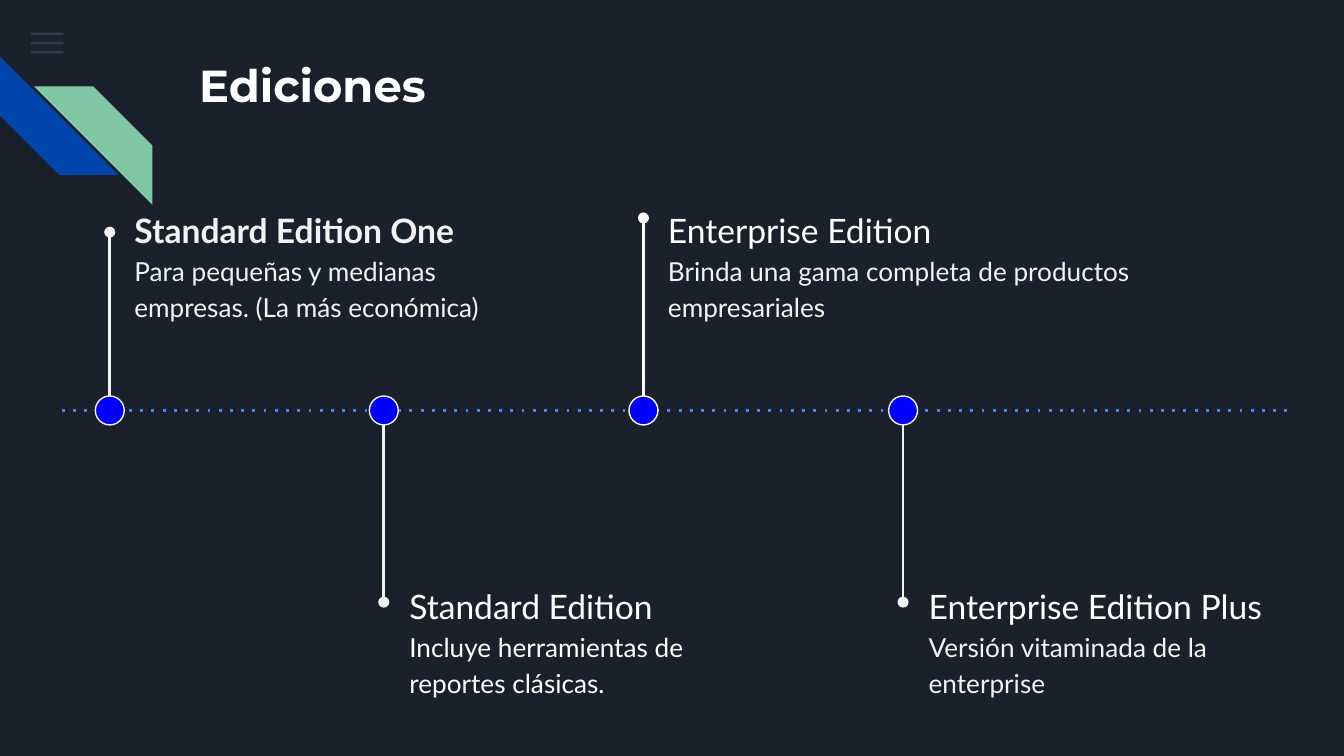
"""Builds the timeline slide of the four product editions."""
import pptx
import pptx.dml.color
import pptx.enum.shapes
import pptx.enum.text
import pptx.oxml
import pptx.oxml.ns
import pptx.util

Pt = pptx.util.Pt
SHAPE = pptx.enum.shapes.MSO_SHAPE
WHITE, PALE, BLUE = "FFFFFF", "F3F3F3", "0000FF"
AXIS = 219.9
RADIUS = 7.75


def color(value):
    return pptx.dml.color.RGBColor.from_string(value)


def add_xml(parent, tag, **attributes):
    child = pptx.oxml.parse_xml(f"<a:{tag} {pptx.oxml.ns.nsdecls('a')}/>")
    for name, value in attributes.items():
        child.set(name, value)
    parent.append(child)


class SlideBuilder:
    def __init__(self, deck, background):
        self.page = deck.slides.add_slide(deck.slide_layouts[5])
        self.page.background.fill.solid()
        self.page.background.fill.fore_color.rgb = color(background)

    def shape(self, kind, left, top, width, height, fill, outline=None, rotation=0, alpha=None):
        shape = self.page.shapes.add_shape(kind, Pt(left), Pt(top), Pt(width), Pt(height))
        shape.shadow.inherit = False
        shape.rotation = rotation
        shape.fill.solid()
        shape.fill.fore_color.rgb = color(fill)
        if alpha:
            solid = shape.fill._xPr.find(pptx.oxml.ns.qn("a:solidFill"))
            add_xml(solid[0], "alpha", val=str(alpha * 1000))
        if outline:
            shape.line.color.rgb = color(outline)
            shape.line.width = Pt(0.75)
        else:
            shape.line.fill.background()

    def line(self, start, end, stroke, dash=None, tail=None):
        connector = self.page.shapes.add_connector(
            pptx.enum.shapes.MSO_CONNECTOR.STRAIGHT, *(Pt(value) for value in start + end))
        connector.line.color.rgb = color(stroke)
        connector.line.width = Pt(1.5)
        if dash:
            add_xml(connector.line._get_or_add_ln(), "prstDash", val=dash)
        if tail:
            add_xml(connector.line._get_or_add_ln(), "tailEnd", type=tail)
        add_xml(connector._element.spPr, "effectLst")

    def frame(self, box):
        frame = box.text_frame
        frame.word_wrap = True
        frame.auto_size = pptx.enum.text.MSO_AUTO_SIZE.NONE
        frame.vertical_anchor = pptx.enum.text.MSO_ANCHOR.TOP
        frame.margin_left = frame.margin_right = Pt(7.2)
        frame.margin_top = frame.margin_bottom = Pt(7.2)
        return frame

    def style(self, paragraph, name, size, fill, bold=False):
        paragraph.alignment = pptx.enum.text.PP_ALIGN.LEFT
        paragraph.font.name = name
        paragraph.font.size = Pt(size)
        paragraph.font.bold = bold
        paragraph.font.color.rgb = color(fill)

    def title(self, text, left, top, width, height):
        box = self.page.shapes.title
        box.left, box.top, box.width, box.height = Pt(left), Pt(top), Pt(width), Pt(height)
        frame = self.frame(box)
        frame.text = text
        self.style(frame.paragraphs[0], "Montserrat", 24, WHITE, bold=True)

    def caption(self, left, top, width, heading, detail, heading_fill, detail_fill, bold):
        box = self.page.shapes.add_textbox(Pt(left), Pt(top), Pt(width), Pt(76.3))
        frame = self.frame(box)
        frame.text = f"{heading}\n{detail}"
        first, second = frame.paragraphs
        self.style(first, "Lato", 18, heading_fill, bold)
        self.style(second, "Lato", 14, detail_fill)
        first.line_spacing = second.line_spacing = 1.15

    def milestone(self, center, tip, stroke, text_left, width, heading, detail,
                  heading_fill=WHITE, detail_fill=PALE, bold=False):
        above = tip < AXIS
        edge = AXIS - RADIUS if above else AXIS + RADIUS
        self.line((center, edge), (center, tip), stroke, tail="oval")
        self.shape(SHAPE.OVAL, center - RADIUS, AXIS - RADIUS, 2 * RADIUS, 2 * RADIUS,
                   BLUE, outline=stroke)
        self.caption(text_left, 102.3 if above else 303.6, width,
                     heading, detail, heading_fill, detail_fill, bold)


def main():
    deck = pptx.Presentation()
    deck.slide_width, deck.slide_height = Pt(720), Pt(405)
    slide = SlideBuilder(deck, "1B212C")

    for row in range(3):
        slide.shape(SHAPE.RECTANGLE, 16.6, 17.5 + 4.9 * row, 17.4, 1.4, "55688B", alpha=36)
    slide.shape(SHAPE.DIAGONAL_STRIPE, 0, 30.2, 63.5, 63.5, "0145AC", rotation=270)
    slide.shape(SHAPE.DIAGONAL_STRIPE, 18.2, 46.3, 63.5, 63.5, "82C7A5", rotation=90)
    slide.title("Ediciones", 99.4, 23.8, 554.4, 72)

    slide.line((33.1, AXIS), (689.8, AXIS), "4A86E8", dash="dot")
    slide.milestone(58.8, 124.4, PALE, 64.9, 206, "Standard Edition One",
                    "Para pequeñas y medianas empresas. (La más económica)",
                    heading_fill=PALE, bold=True)
    slide.milestone(205.6, 322.6, PALE, 212.2, 209.5, "Standard Edition",
                    "Incluye herramientas de reportes clásicas.", detail_fill=WHITE)
    slide.milestone(344.7, 116.8, WHITE, 350.8, 273.6, "Enterprise Edition",
                    "Brinda una gama completa de productos empresariales")
    slide.milestone(483.8, 322.6, PALE, 490.4, 209.5, "Enterprise Edition Plus",
                    "Versión vitaminada de la enterprise")
    deck.save("out.pptx")


if __name__ == "__main__":
    main()
